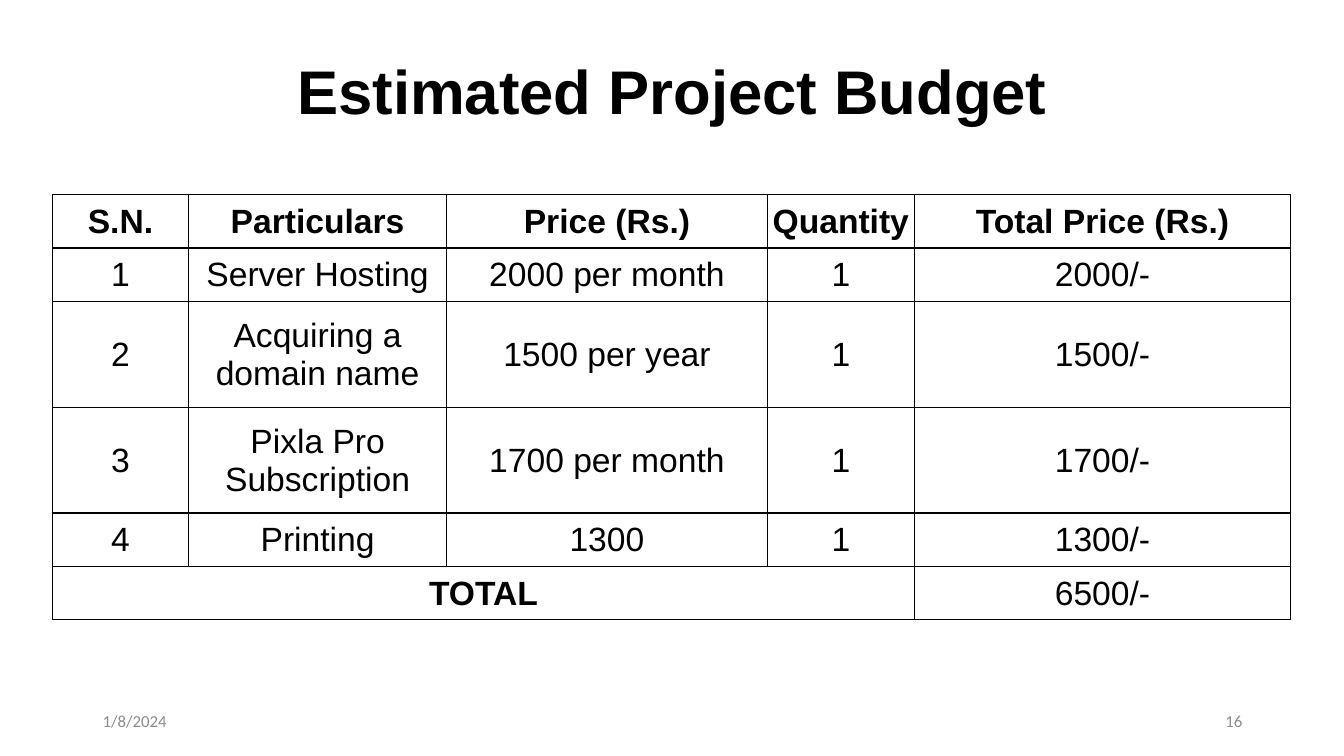
from dataclasses import dataclass

from lxml.etree import SubElement
from pptx import Presentation
from pptx.dml.color import RGBColor
from pptx.enum.text import MSO_ANCHOR, MSO_AUTO_SIZE, PP_ALIGN
from pptx.oxml.ns import qn
from pptx.slide import Slide
from pptx.table import _Cell
from pptx.text.text import _Paragraph
from pptx.util import Inches, Pt


@dataclass(frozen=True)
class Theme:
    heading_font: str = "Arial"
    footer_font: str = "Calibri"
    ink: str = "000000"
    paper: str = "FFFFFF"
    muted: str = "8C8C8C"
    title_size: int = 44
    table_size: int = 24
    footer_size: int = 12
    border_width: int = 1


@dataclass(frozen=True)
class Footer:
    text: str
    left: float
    alignment: PP_ALIGN


THEME = Theme()
HEADERS = ("S.N.", "Particulars", "Price (Rs.)", "Quantity", "Total Price (Rs.)")
ITEMS = (
    ("1", "Server Hosting", "2000 per month", "1", "2000/-"),
    ("2", "Acquiring a domain name", "1500 per year", "1", "1500/-"),
    ("3", "Pixla Pro Subscription", "1700 per month", "1", "1700/-"),
    ("4", "Printing", "1300", "1", "1300/-"),
)
TOTAL = ("TOTAL", "", "", "", "6500/-")
COLUMN_WIDTHS = (1.35, 2.56, 3.18, 1.46, 3.73)
ROW_HEIGHTS = (0.53, 0.53, 1.05, 1.05, 0.53, 0.53)
FOOTERS = (
    Footer("1/8/2024", 0.92, PP_ALIGN.LEFT),
    Footer("16", 9.42, PP_ALIGN.RIGHT),
)


def format_paragraph(
    paragraph: _Paragraph,
    name: str,
    size: int,
    color: str,
    alignment: PP_ALIGN,
    bold: bool = False,
) -> None:
    paragraph.alignment = alignment
    paragraph.font.name = name
    paragraph.font.size = Pt(size)
    paragraph.font.bold = bold
    paragraph.font.color.rgb = RGBColor.from_string(color)


def add_borders(cell: _Cell) -> None:
    properties = cell._tc.get_or_add_tcPr()
    for position, side in enumerate(("a:lnL", "a:lnR", "a:lnT", "a:lnB")):
        line = SubElement(properties, qn(side), w=str(Pt(THEME.border_width)))
        fill = SubElement(line, qn("a:solidFill"))
        SubElement(fill, qn("a:srgbClr"), val=THEME.ink)
        properties.insert(position, line)


def fill_cell(cell: _Cell, text: str, bold: bool) -> None:
    cell.text = text
    cell.vertical_anchor = MSO_ANCHOR.MIDDLE
    cell.margin_left = cell.margin_right = cell.margin_top = Inches(0.01)
    cell.margin_bottom = 0
    cell.fill.solid()
    cell.fill.fore_color.rgb = RGBColor.from_string(THEME.paper)
    add_borders(cell)
    format_paragraph(
        cell.text_frame.paragraphs[0],
        THEME.heading_font,
        THEME.table_size,
        THEME.ink,
        PP_ALIGN.CENTER,
        bold,
    )


def set_title(slide: Slide, text: str) -> None:
    title = slide.shapes.title
    title.left, title.top = Inches(0.92), Inches(0.21)
    title.width, title.height = Inches(11.5), Inches(1.45)
    frame = title.text_frame
    frame.text = text
    frame.auto_size = MSO_AUTO_SIZE.NONE
    frame.vertical_anchor = MSO_ANCHOR.MIDDLE
    paragraph = frame.paragraphs[0]
    paragraph.line_spacing = 0.9
    format_paragraph(
        paragraph,
        THEME.heading_font,
        THEME.title_size,
        THEME.ink,
        PP_ALIGN.CENTER,
        True,
    )


def add_budget_table(slide: Slide) -> None:
    rows = (HEADERS, *ITEMS, TOTAL)
    table = slide.shapes.add_table(
        len(rows),
        len(HEADERS),
        Inches(0.52),
        Inches(1.93),
        Inches(sum(COLUMN_WIDTHS)),
        Inches(sum(ROW_HEIGHTS)),
    ).table
    table.first_row = table.horz_banding = False
    for column, width in zip(table.columns, COLUMN_WIDTHS):
        column.width = Inches(width)
    for row, height, texts in zip(table.rows, ROW_HEIGHTS, rows):
        row.height = Inches(height)
        for cell, text in zip(row.cells, texts):
            fill_cell(cell, text, texts is HEADERS or text == TOTAL[0])
    last_row = len(rows) - 1
    table.cell(last_row, 0).merge(table.cell(last_row, len(HEADERS) - 2))


def add_footer(slide: Slide, footer: Footer) -> None:
    shape = slide.shapes.add_textbox(
        Inches(footer.left), Inches(6.95), Inches(3), Inches(0.4)
    )
    frame = shape.text_frame
    frame.text = footer.text
    frame.word_wrap = True
    frame.vertical_anchor = MSO_ANCHOR.MIDDLE
    format_paragraph(
        frame.paragraphs[0],
        THEME.footer_font,
        THEME.footer_size,
        THEME.muted,
        footer.alignment,
    )


def main() -> None:
    presentation = Presentation()
    presentation.slide_width = Inches(13.33)
    presentation.slide_height = Inches(7.5)
    slide = presentation.slides.add_slide(presentation.slide_layouts[5])
    set_title(slide, "Estimated Project Budget")
    add_budget_table(slide)
    for footer in FOOTERS:
        add_footer(slide, footer)
    presentation.save("out.pptx")


if __name__ == "__main__":
    main()
